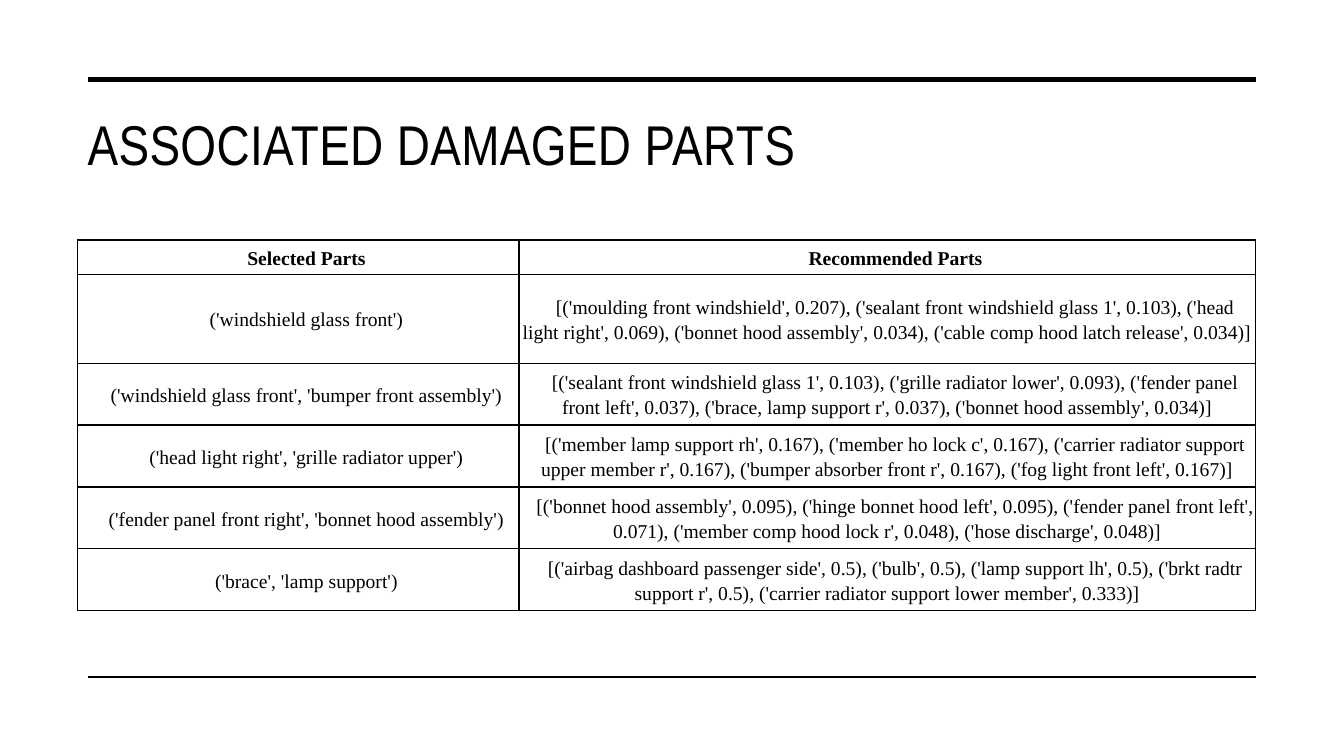
import dataclasses

import pptx
import pptx.dml.color
import pptx.enum.shapes
import pptx.enum.text
import pptx.oxml
import pptx.oxml.ns
import pptx.slide
import pptx.table
import pptx.text.text
import pptx.util

Cm = pptx.util.Cm
Pt = pptx.util.Pt

COLORS = {"ink": "000000", "paper": "FFFFFF"}
INK = pptx.dml.color.RGBColor.from_string(COLORS["ink"])
PAPER = pptx.dml.color.RGBColor.from_string(COLORS["paper"])

TITLE_FONT = {"name": "Arial Narrow", "size": Pt(40), "bold": False}
HEADER_FONT = {"name": "Times New Roman", "size": Pt(14), "bold": True}
BODY_FONT = HEADER_FONT | {"bold": False}
CELL_FORMAT = {
    "margin_left": Cm(0.03),
    "margin_right": Cm(0.03),
    "margin_top": Cm(0.03),
    "margin_bottom": Cm(0.03),
    "vertical_anchor": pptx.enum.text.MSO_ANCHOR.MIDDLE,
}
CELL_PARAGRAPH = {"alignment": pptx.enum.text.PP_ALIGN.CENTER, "line_spacing": 1.15}
TABLE_FLAGS = {"first_row": False, "horz_banding": False}
TITLE_FRAME = {
    "word_wrap": True,
    "margin_left": Cm(0.25),
    "margin_top": Cm(0.25),
    "vertical_anchor": pptx.enum.text.MSO_ANCHOR.TOP,
}

LEFT = 1.96
WIDTH = 29.69
RULE_LEFT = 2.23
RIGHT = LEFT + WIDTH
COLUMN_WIDTHS = (11.12, 18.57)


@dataclasses.dataclass(frozen=True)
class Rule:
    y: float
    weight: float


@dataclasses.dataclass(frozen=True)
class PartsRow:
    selected: str
    recommended: str
    height: float = 1.56
    font: dict = dataclasses.field(default_factory=lambda: BODY_FONT)


RULES = (Rule(2.0, 3.5), Rule(17.06, 1))
PARTS = (
    PartsRow("Selected Parts", "Recommended Parts", 0.86, HEADER_FONT),
    PartsRow(
        "('windshield glass front')",
        "[('moulding front windshield', 0.207), ('sealant front windshield glass 1', 0.103), "
        "('head light right', 0.069), ('bonnet hood assembly', 0.034), "
        "('cable comp hood latch release', 0.034)]",
        2.24,
    ),
    PartsRow(
        "('windshield glass front', 'bumper front assembly')",
        "[('sealant front windshield glass 1', 0.103), ('grille radiator lower', 0.093), "
        "('fender panel front left', 0.037), ('brace, lamp support r', 0.037), "
        "('bonnet hood assembly', 0.034)]",
    ),
    PartsRow(
        "('head light right', 'grille radiator upper')",
        "[('member lamp support rh', 0.167), ('member ho lock c', 0.167), "
        "('carrier radiator support upper member r', 0.167), "
        "('bumper absorber front r', 0.167), ('fog light front left', 0.167)]",
    ),
    PartsRow(
        "('fender panel front right', 'bonnet hood assembly')",
        "[('bonnet hood assembly', 0.095), ('hinge bonnet hood left', 0.095), "
        "('fender panel front left', 0.071), ('member comp hood lock r', 0.048), "
        "('hose discharge', 0.048)]",
    ),
    PartsRow(
        "('brace', 'lamp support')",
        "[('airbag dashboard passenger side', 0.5), ('bulb', 0.5), ('lamp support lh', 0.5), "
        "('brkt radtr support r', 0.5), ('carrier radiator support lower member', 0.333)]",
    ),
)


def apply_format(target: object, values: dict) -> None:
    for name, value in values.items():
        setattr(target, name, value)


def write_run(paragraph: pptx.text.text._Paragraph, text: str, font: dict) -> pptx.text.text._Run:
    run = paragraph.add_run()
    run.text = text
    apply_format(run.font, font)
    run.font.color.rgb = INK
    return run


def draw_rule(slide: pptx.slide.Slide, rule: Rule) -> None:
    line = slide.shapes.add_connector(
        pptx.enum.shapes.MSO_CONNECTOR.STRAIGHT,
        Cm(RULE_LEFT), Cm(rule.y), Cm(RIGHT), Cm(rule.y),
    )
    line.line.color.rgb = INK
    line.line.width = Pt(rule.weight)
    pptx.oxml.ns.qn("a:effectLst")
    line._element.spPr.append(pptx.oxml.parse_xml(
        f'<a:effectLst {pptx.oxml.ns.nsdecls("a")}/>'))


def draw_title(slide: pptx.slide.Slide, text: str) -> None:
    title = slide.shapes.add_textbox(Cm(LEFT), Cm(2.51), Cm(WIDTH), Cm(3.2))
    apply_format(title.text_frame, TITLE_FRAME)
    run = write_run(title.text_frame.paragraphs[0], text, TITLE_FONT)
    run._r.get_or_add_rPr().set("spc", "30")


def add_borders(cell: pptx.table._Cell) -> None:
    for side in ("lnL", "lnR", "lnT", "lnB"):
        cell._tc.get_or_add_tcPr().append(pptx.oxml.parse_xml(
            f'<a:{side} {pptx.oxml.ns.nsdecls("a")} w="{Pt(1)}"><a:solidFill>'
            f'<a:srgbClr val="{COLORS["ink"]}"/></a:solidFill></a:{side}>'))


def fill_cell(cell: pptx.table._Cell, text: str, font: dict) -> None:
    apply_format(cell, CELL_FORMAT)
    add_borders(cell)
    cell.fill.solid()
    cell.fill.fore_color.rgb = PAPER
    paragraph = cell.text_frame.paragraphs[0]
    apply_format(paragraph, CELL_PARAGRAPH)
    apply_format_indent = paragraph._p.get_or_add_pPr()
    apply_format_indent.set("indent", str(Cm(0.41)))
    write_run(paragraph, text, font)


def draw_parts(slide: pptx.slide.Slide) -> None:
    height = sum(row.height for row in PARTS)
    table = slide.shapes.add_table(
        len(PARTS), len(COLUMN_WIDTHS), Cm(LEFT), Cm(6.05), Cm(WIDTH), Cm(height)).table
    apply_format(table, TABLE_FLAGS)
    for column, width in zip(table.columns, COLUMN_WIDTHS):
        column.width = Cm(width)
    for table_row, parts in zip(table.rows, PARTS):
        table_row.height = Cm(parts.height)
        for cell, text in zip(table_row.cells, (parts.selected, parts.recommended)):
            fill_cell(cell, text, parts.font)


def main() -> None:
    deck = pptx.Presentation()
    apply_format(deck, {"slide_width": Cm(33.87), "slide_height": Cm(19.05)})
    slide = deck.slides.add_slide(deck.slide_layouts[6])
    for rule in RULES:
        draw_rule(slide, rule)
    draw_title(slide, "ASSOCIATED DAMAGED PARTS")
    draw_parts(slide)
    deck.save("out.pptx")


if __name__ == "__main__":
    main()
